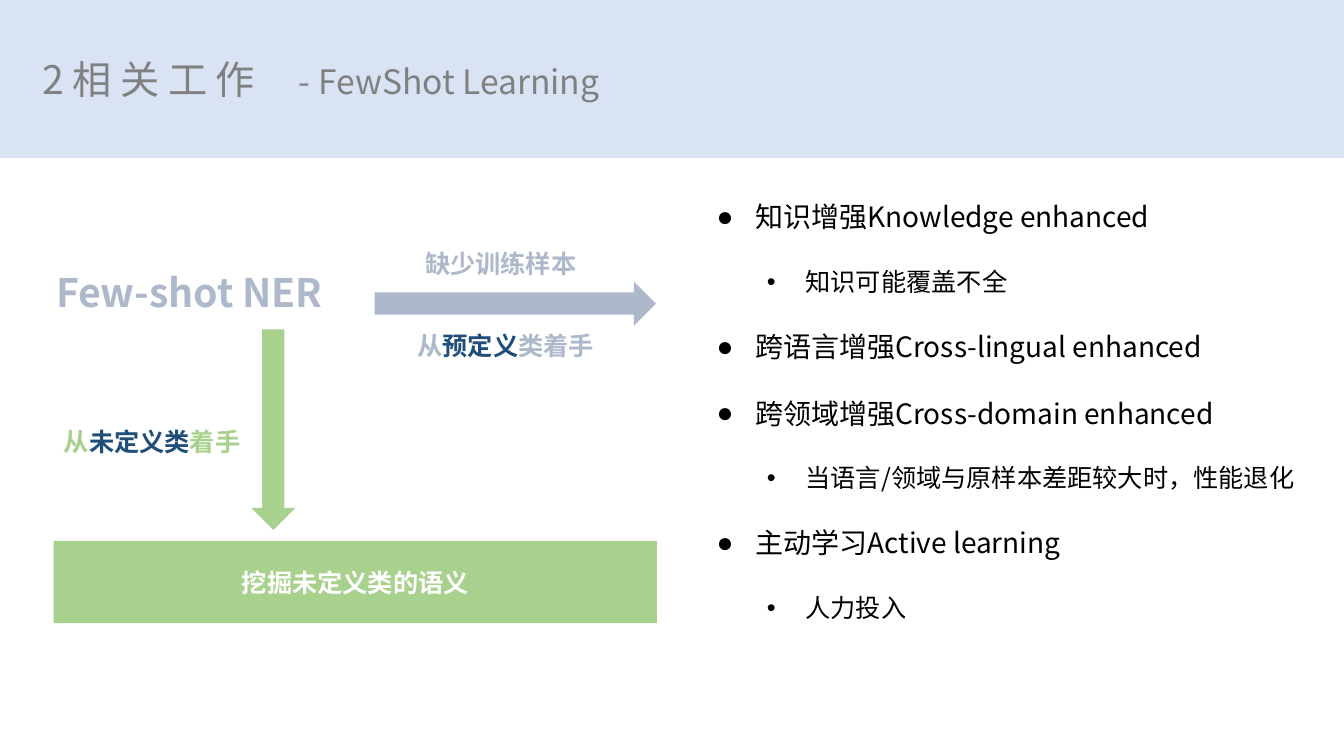
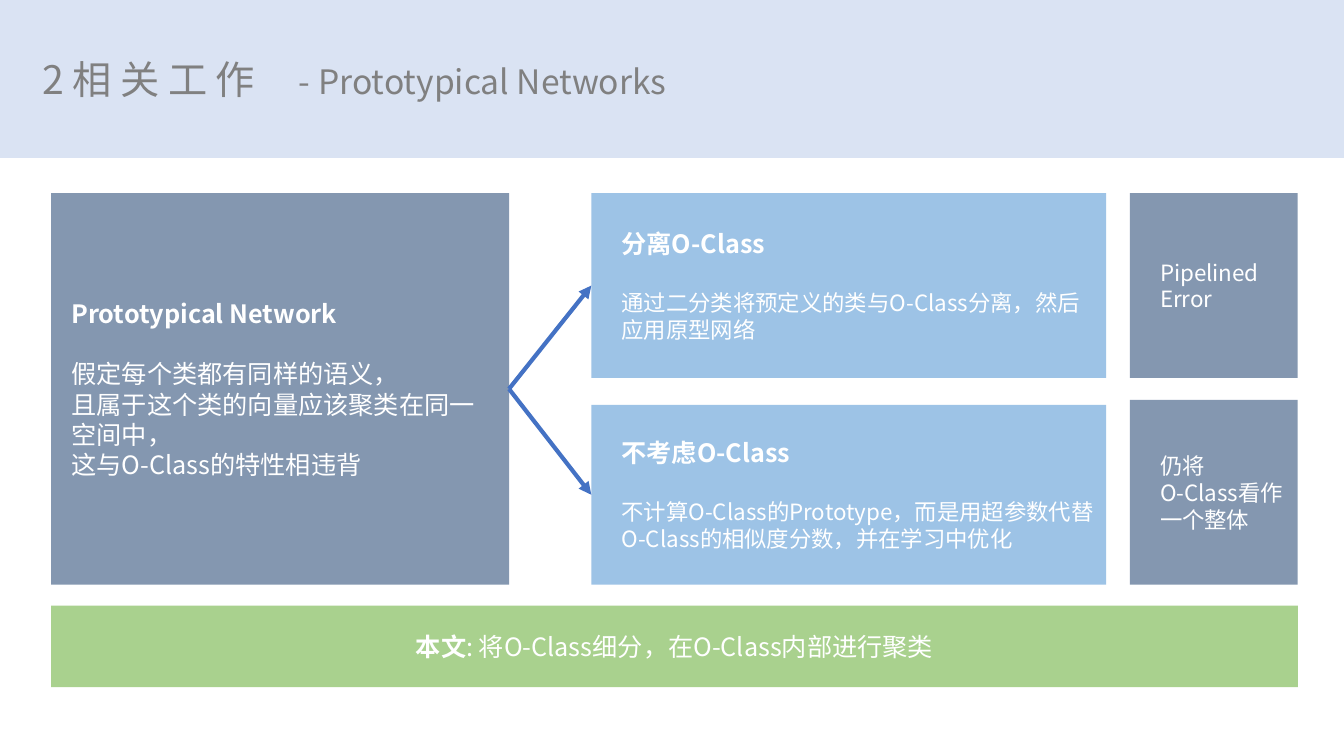
from dataclasses import dataclass

from lxml.etree import SubElement
from pptx import Presentation
from pptx.dml.color import RGBColor
from pptx.enum.shapes import MSO_CONNECTOR, MSO_SHAPE
from pptx.enum.text import MSO_ANCHOR, MSO_AUTO_SIZE, PP_ALIGN
from pptx.oxml.ns import qn
from pptx.util import Inches, Pt


# Shared look: colours, type and grid
@dataclass(frozen=True)
class Theme:
    font: str = "Noto Sans CJK SC"
    bullet_font: str = "Arial"
    band: str = "DAE3F3"
    title: str = "808080"
    ink: str = "000000"
    white: str = "FFFFFF"
    mist: str = "ADB9CA"
    slate: str = "8497B0"
    sky: str = "9DC3E6"
    green: str = "A9D18E"
    navy: str = "1F4E79"
    connector: str = "4472C4"
    title_size: int = 28
    subtitle_size: int = 24
    topic_size: int = 20
    text_size: int = 18
    small_size: int = 16
    line_height: float = 1.2
    heading_gap: float = 21.6
    list_gap: float = 23.5


THEME = Theme()
SLIDE_WIDTH, SLIDE_HEIGHT = Inches(13.33), Inches(7.5)
COLUMNS, ROWS = 160, 90
BAND_ROWS = 18.8
TITLE_INSET, SUBTITLE_TAB = 5.1, 30.4
SECTION = "2相关工作"
# Bullet character, text indent in columns, type size for each list level
LIST_LEVELS = (("●", 10.6, THEME.topic_size), ("•", 16.6, THEME.text_size))
HANGING = 4.6


@dataclass(frozen=True)
class Run:
    text: str
    color: str = THEME.white
    size: int = THEME.text_size
    bold: bool = False
    spacing: int = 0


def columns(count):
    return int(SLIDE_WIDTH * count / COLUMNS)


def rows(count):
    return int(SLIDE_HEIGHT * count / ROWS)


def place(box):
    left, top, width, height = box
    return columns(left), rows(top), columns(width), rows(height)


def set_values(target, values):
    for name, value in values.items():
        setattr(target, name, value)


# Text
def set_frame(frame, left=0.0, right=0.0, anchor=MSO_ANCHOR.MIDDLE):
    set_values(frame, {
        "word_wrap": True, "auto_size": MSO_AUTO_SIZE.NONE,
        "vertical_anchor": anchor,
        "margin_left": columns(left), "margin_right": columns(right),
        "margin_top": rows(0.6), "margin_bottom": rows(0.6),
    })


def fill_paragraph(paragraph, runs, gap=0, alignment=PP_ALIGN.LEFT):
    tallest = max(run.size for run in runs)
    set_values(paragraph, {
        "alignment": alignment,
        "line_spacing": Pt(tallest * THEME.line_height),
        "space_before": Pt(gap), "space_after": Pt(0),
    })
    for item in runs:
        run = paragraph.add_run()
        run.text = item.text
        set_values(run.font, {
            "size": Pt(item.size), "bold": item.bold, "name": THEME.font,
        })
        run.font.color.rgb = RGBColor.from_string(item.color)
        properties = run.font._element
        SubElement(properties, qn("a:ea"), typeface=THEME.font)
        if item.spacing:
            properties.set("spc", str(item.spacing * 100))


def next_paragraph(frame, index):
    return frame.paragraphs[0] if index == 0 else frame.add_paragraph()


def add_label(slide, box, *runs):
    label = slide.shapes.add_textbox(*place(box))
    set_frame(label.text_frame)
    fill_paragraph(label.text_frame.paragraphs[0], runs)


def add_list(slide, box, items):
    body = slide.placeholders[1]
    set_values(body, dict(zip(("left", "top", "width", "height"), place(box))))
    frame = body.text_frame
    set_frame(frame, 1.2, 1.2, MSO_ANCHOR.TOP)
    for index, (level, text) in enumerate(items):
        paragraph = next_paragraph(frame, index)
        paragraph.level = level
        character, indent, size = LIST_LEVELS[level]
        properties = paragraph._p.get_or_add_pPr()
        properties.set("marL", str(columns(indent)))
        properties.set("indent", str(-columns(HANGING)))
        SubElement(properties, qn("a:buFont"), typeface=THEME.bullet_font)
        SubElement(properties, qn("a:buChar"), char=character)
        fill_paragraph(paragraph, [Run(text, THEME.ink, size)],
                       THEME.list_gap if index else 0)


# Shapes
def add_block(slide, box, color, kind=MSO_SHAPE.RECTANGLE):
    shape = slide.shapes.add_shape(kind, *place(box))
    shape.shadow.inherit = False
    shape.fill.solid()
    shape.fill.fore_color.rgb = RGBColor.from_string(color)
    shape.line.fill.background()
    return shape


def add_banner(slide, box, *runs):
    banner = add_block(slide, box, THEME.green)
    set_frame(banner.text_frame, 1.2, 1.2)
    fill_paragraph(banner.text_frame.paragraphs[0], runs,
                   alignment=PP_ALIGN.CENTER)


def add_card(slide, box, color, heading, lines, size, insets):
    card = add_block(slide, box, color)
    set_frame(card.text_frame, *insets)
    texts = [Run(line, size=size) for line in lines]
    if heading:
        texts.insert(0, Run(heading, bold=True))
    for index, run in enumerate(texts):
        gap = THEME.heading_gap if heading and index == 1 else 0
        fill_paragraph(next_paragraph(card.text_frame, index), [run], gap)
    return card


def add_arrow(slide, source, target):
    arrow = slide.shapes.add_connector(MSO_CONNECTOR.STRAIGHT, 0, 0, 0, 0)
    arrow.begin_connect(source, 3)
    arrow.end_connect(target, 1)
    arrow.line.width = Pt(3)
    arrow.line.color.rgb = RGBColor.from_string(THEME.connector)
    properties = arrow.element.spPr
    SubElement(properties.find(qn("a:ln")), qn("a:tailEnd"), type="triangle")
    SubElement(properties, qn("a:effectLst"))


# Title band shared by all slides
def add_titled_slide(presentation, layout_name, subtitle):
    layout = presentation.slide_layouts.get_by_name(layout_name)
    slide = presentation.slides.add_slide(layout)
    title = slide.shapes.title
    band = place((0, 0, COLUMNS, BAND_ROWS))
    set_values(title, dict(zip(("left", "top", "width", "height"), band)))
    title.fill.solid()
    title.fill.fore_color.rgb = RGBColor.from_string(THEME.band)
    set_frame(title.text_frame, TITLE_INSET)
    paragraph = title.text_frame.paragraphs[0]
    tabs = SubElement(paragraph._p.get_or_add_pPr(), qn("a:tabLst"))
    SubElement(tabs, qn("a:tab"), pos=str(columns(SUBTITLE_TAB)), algn="l")
    fill_paragraph(paragraph, [
        Run(SECTION, THEME.title, THEME.title_size, spacing=6),
        Run("\t-", THEME.title, THEME.subtitle_size, spacing=6),
        Run(subtitle, THEME.title, THEME.subtitle_size),
    ])
    return slide


def build_few_shot(presentation):
    slide = add_titled_slide(presentation, "Title and Content",
                             "FewShot Learning")

    # Two routes from the task
    add_label(slide, (6.7, 31.8, 37, 6),
              Run("Few-shot NER", THEME.mist, THEME.title_size, True))
    add_block(slide, (44.6, 33.5, 33.5, 5.3), THEME.mist,
              MSO_SHAPE.RIGHT_ARROW)
    add_block(slide, (29.9, 39.2, 5.3, 23.9), THEME.green,
              MSO_SHAPE.DOWN_ARROW)
    add_label(slide, (50.6, 29.4, 24, 4),
              Run("缺少训练样本", THEME.mist, bold=True))
    routes = (
        (49.7, 39.1, THEME.mist, ("从", "预定义", "类着手")),
        (7.6, 50.5, THEME.green, ("从", "未定义类", "着手")),
    )
    for left, top, color, parts in routes:
        colors = (color, THEME.navy, color)
        add_label(slide, (left, top, 24, 4),
                  *(Run(part, shade, bold=True)
                    for part, shade in zip(parts, colors)))
    add_banner(slide, (6.4, 64.4, 71.8, 9.8),
               Run("挖掘未定义类的语义", bold=True))

    # Existing methods and their limits
    add_list(slide, (78.1, 23.2, 81, 60), (
        (0, "知识增强Knowledge enhanced"),
        (1, "知识可能覆盖不全"),
        (0, "跨语言增强Cross-lingual enhanced"),
        (0, "跨领域增强Cross-domain enhanced"),
        (1, "当语言/领域与原样本差距较大时，性能退化"),
        (0, "主动学习Active learning"),
        (1, "人力投入"),
    ))


def build_prototypical(presentation):
    slide = add_titled_slide(presentation, "Title Only",
                             "Prototypical Networks")
    left, right, top, bottom = 6.1, 154.5, 23, 69.6

    # Starting point
    network = add_card(
        slide, (left, top, 54.5, bottom - top), THEME.slate,
        "Prototypical Network",
        ("假定每个类都有同样的语义，",
         "且属于这个类的向量应该聚类在同一空间中，",
         "这与O-Class的特性相违背"),
        THEME.text_size, (2.4, 1.2))

    # Each approach with its weakness
    approaches = (
        (top, 22, "分离O-Class",
         "通过二分类将预定义的类与O-Class分离，然后应用原型网络",
         top, ("Pipelined Error",)),
        (bottom - 21.4, 21.4, "不考虑O-Class",
         "不计算O-Class的Prototype，而是用超参数代替O-Class的相似度分数，并在学习中优化",
         bottom - 22, ("仍将", "O-Class看作一个整体")),
    )
    for card_top, height, heading, detail, issue_top, issue in approaches:
        approach = add_card(slide, (70.4, card_top, 61.3, height), THEME.sky,
                            heading, (detail,), THEME.small_size, (3.6, 1.2))
        add_card(slide, (right - 20, issue_top, 20, 22), THEME.slate,
                 None, issue, THEME.small_size, (3.6, 0.8))
        add_arrow(slide, network, approach)

    # Proposal
    add_banner(slide, (left, 72.1, right - left, 9.7),
               Run("本文", bold=True),
               Run(": 将O-Class细分，在O-Class内部进行聚类"))


def main():
    presentation = Presentation()
    set_values(presentation, {
        "slide_width": SLIDE_WIDTH, "slide_height": SLIDE_HEIGHT,
    })
    build_few_shot(presentation)
    build_prototypical(presentation)
    presentation.save("out.pptx")


if __name__ == "__main__":
    main()
